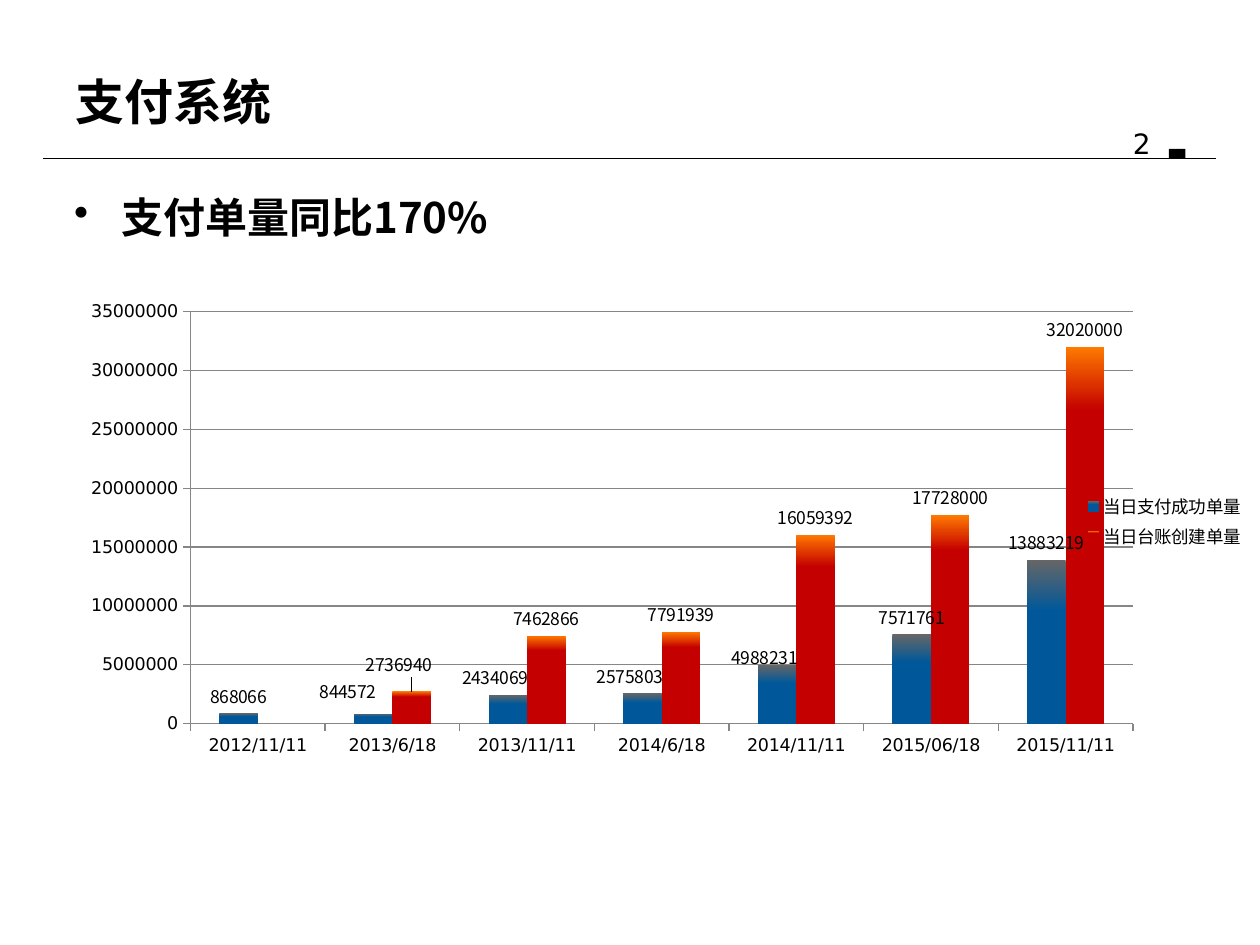
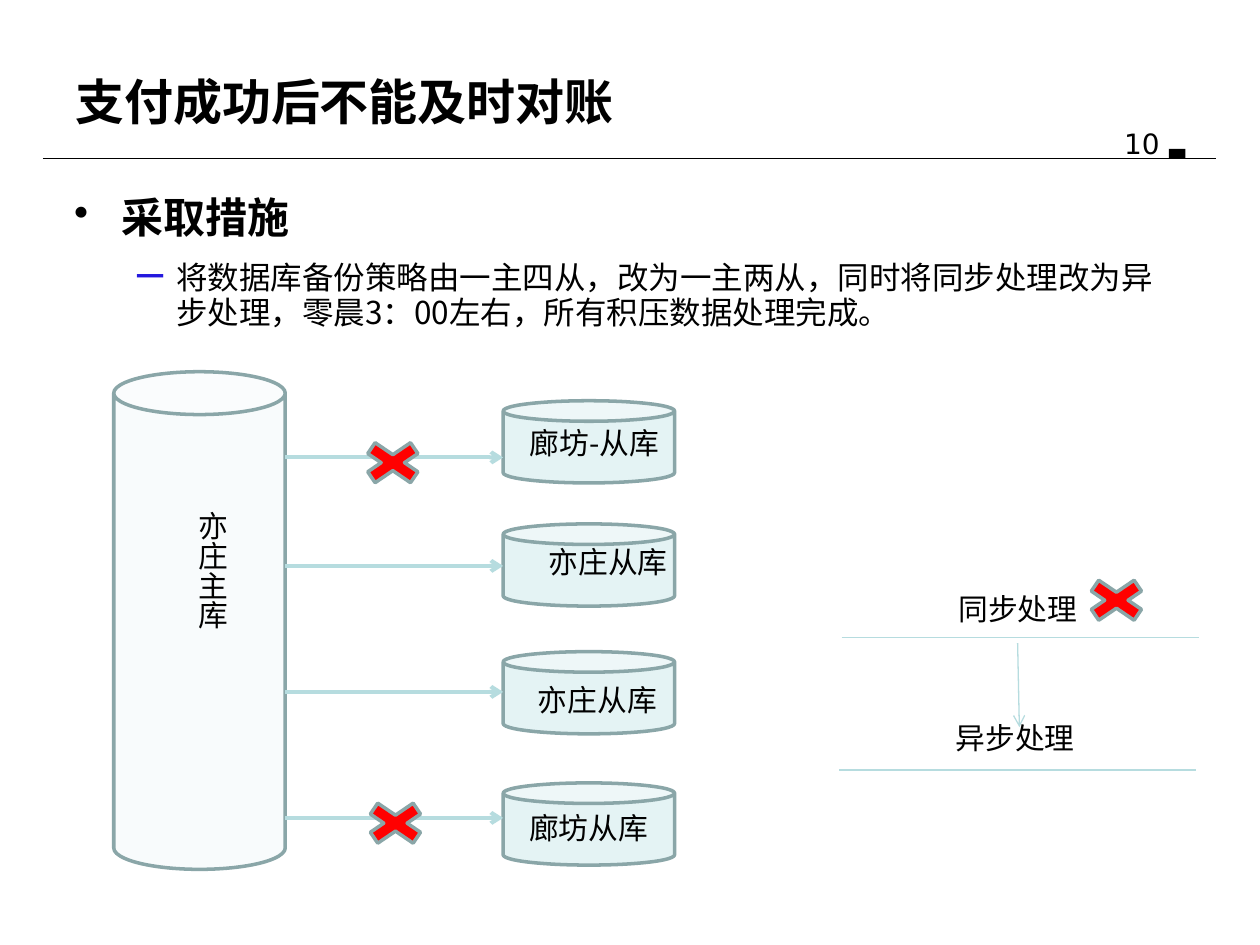
from lxml import etree
from pptx import Presentation
from pptx.chart.data import CategoryChartData
from pptx.dml.color import RGBColor
from pptx.enum.chart import XL_CHART_TYPE, XL_LABEL_POSITION, XL_LEGEND_POSITION, XL_TICK_MARK
from pptx.enum.shapes import MSO_CONNECTOR, MSO_SHAPE
from pptx.enum.text import MSO_ANCHOR, PP_ALIGN
from pptx.oxml import parse_xml
from pptx.oxml.ns import nsdecls, qn
from pptx.util import Pt

CAN = MSO_SHAPE.CAN
CROSS = MSO_SHAPE.MATH_MULTIPLY
RECTANGLE = MSO_SHAPE.RECTANGLE
STRAIGHT = MSO_CONNECTOR.STRAIGHT
CLUSTERED = XL_CHART_TYPE.COLUMN_CLUSTERED
OUTSIDE_END = XL_LABEL_POSITION.OUTSIDE_END
RIGHT = XL_LEGEND_POSITION.RIGHT
TICK_OUTSIDE = XL_TICK_MARK.OUTSIDE
TOP, MIDDLE = MSO_ANCHOR.TOP, MSO_ANCHOR.MIDDLE
LEFT, CENTER = PP_ALIGN.LEFT, PP_ALIGN.CENTER

CJK_FONT = "Noto Sans CJK SC"
LATIN_FONT = "DejaVu Sans"
BLACK = "000000"
GRID_GRAY = "868686"
OUTLINE = "8AA6A8"
ARROW = "B6DCDF"
MAIN_FILL = "F8FBFC"
REPLICA_FILL = "E4F3F4"
CROSS_RED = "FF0000"
DASH_BLUE = "2318DE"

CATEGORIES = ["2012/11/11", "2013/6/18", "2013/11/11", "2014/6/18",
              "2014/11/11", "2015/06/18", "2015/11/11"]
# Label shifts: point index -> fraction of the chart's width and height
SERIES = [
    {"name": "当日支付成功单量",
     "values": [868066, 844572, 2434069, 2575803, 4988231, 7571761, 13883219],
     "stops": [("666666", 0), ("00589A", 0.31)],
     "shifts": {1: (-0.02, -0.01), 2: (-0.01, 0), 3: (-0.01, 0), 4: (-0.01, 0.02)}},
    {"name": "当日台账创建单量",
     "values": [None, 2736940, 7462866, 7791939, 16059392, 17728000, 32020000],
     "stops": [("FF7A00", 0), ("C40000", 0.17)],
     "shifts": {1: (-0.01, -0.02)}},
]


def color(hex_string):
    return RGBColor.from_string(hex_string)


def style_font(paragraph, size, name=CJK_FONT, bold=False):
    font = paragraph.font
    font.size, font.name, font.bold = Pt(size), name, bold
    font.color.rgb = color(BLACK)
    east_asian = etree.SubElement(font._element, qn("a:ea"))
    east_asian.set("typeface", name)


def add_text(slide, box, text, size, name=CJK_FONT, bold=False, align=LEFT, anchor=TOP):
    shape = slide.shapes.add_textbox(*map(Pt, box))
    frame = shape.text_frame
    frame.word_wrap = True
    frame.vertical_anchor = anchor
    paragraph = frame.paragraphs[0]
    paragraph.text = text
    paragraph.alignment = align
    style_font(paragraph, size, name, bold)
    return shape


def add_preset(slide, preset, box, fill, line=None):
    shape = slide.shapes.add_shape(preset, *map(Pt, box))
    shape.shadow.inherit = False
    shape.fill.solid()
    shape.fill.fore_color.rgb = color(fill)
    if line:
        shape.line.color.rgb = color(line)
        shape.line.width = Pt(2)
    else:
        shape.line.fill.background()
    return shape


def add_line(slide, start, end, line_color, width, arrow=False):
    connector = slide.shapes.add_connector(STRAIGHT, *map(Pt, (*start, *end)))
    connector.line.color.rgb = color(line_color)
    connector.line.width = Pt(width)
    if arrow:
        line = connector.line._get_or_add_ln()
        etree.SubElement(line, qn("a:tailEnd")).set("type", "arrow")
    etree.SubElement(connector._element.spPr, qn("a:effectLst"))


def add_cross(slide, left, top):
    add_preset(slide, CROSS, (left, top, 47, 32), CROSS_RED, OUTLINE)


def add_bullet(paragraph, character, hex_string, margin, hang, percent=100):
    properties = paragraph._p.get_or_add_pPr()
    properties.set("marL", str(Pt(margin)))
    properties.set("indent", str(Pt(-hang)))
    bullet_color = etree.SubElement(properties, qn("a:buClr"))
    etree.SubElement(bullet_color, qn("a:srgbClr")).set("val", hex_string)
    etree.SubElement(properties, qn("a:buSzPct")).set("val", str(percent * 1000))
    etree.SubElement(properties, qn("a:buChar")).set("char", character)


def add_header(slide, title, number):
    """Title, slide number with its marker, and the rule below."""
    add_text(slide, (626, 69, 53, 27), number, 16, LATIN_FONT, align=CENTER)
    add_preset(slide, RECTANGLE, (668, 85, 9.4, 5.8), BLACK)
    add_line(slide, (24.5, 90.7), (695, 90.7), BLACK, 0.75)
    add_text(slide, (36, 27.4, 648, 61), title, 28, bold=True, anchor=MIDDLE)


def add_body(slide, heading, detail=None):
    frame = slide.shapes.add_textbox(Pt(35.3), Pt(108), Pt(648), Pt(385)).text_frame
    frame.word_wrap = True
    paragraph = frame.paragraphs[0]
    paragraph.text = heading
    paragraph.line_spacing = 0.94
    paragraph.space_after = Pt(6)
    add_bullet(paragraph, "•", BLACK, 27, 27)
    style_font(paragraph, 24, bold=True)
    if detail:
        paragraph = frame.add_paragraph()
        paragraph.text = detail
        paragraph.line_spacing = 0.94
        paragraph.space_before = Pt(4.5)
        add_bullet(paragraph, "–", DASH_BLUE, 58.3, 22.3, 150)
        style_font(paragraph, 18)


def manual_layout(x, y, extra=""):
    return parse_xml(
        f'<c:layout {nsdecls("c")}><c:manualLayout>{extra}'
        f'<c:x val="{x}"/><c:y val="{y}"/></c:manualLayout></c:layout>')


def set_plot_area(chart, x, y, width, height):
    plot_area = chart._chartSpace.chart.plotArea
    for old_layout in plot_area.findall(qn("c:layout")):
        plot_area.remove(old_layout)
    layout = manual_layout(
        x, y, '<c:layoutTarget val="inner"/><c:xMode val="edge"/><c:yMode val="edge"/>')
    for tag, value in (("c:w", width), ("c:h", height)):
        etree.SubElement(layout[0], qn(tag)).set("val", str(value))
    plot_area.insert(0, layout)


def style_axis(axis):
    axis.major_tick_mark = TICK_OUTSIDE
    axis.format.line.color.rgb = color(GRID_GRAY)
    axis.format.line.width = Pt(0.75)


def style_series(series, spec_row):
    series.invert_if_negative = False
    fill = series.format.fill
    fill.gradient()
    fill.gradient_angle = 270
    for stop, (hex_string, position) in zip(fill.gradient_stops, spec_row["stops"]):
        stop.color.rgb = color(hex_string)
        stop.position = position
    labels = series.data_labels
    labels.show_value = True
    labels.position = OUTSIDE_END
    labels.font.name, labels.font.size = CJK_FONT, Pt(10)
    for index in spec_row["shifts"]:
        label = series.points[index].data_label
        label.font.name, label.font.size = CJK_FONT, Pt(10)
        label.position = OUTSIDE_END
    moved_labels = series._element.iter(qn("c:dLbl"))
    for label, shift in zip(moved_labels, spec_row["shifts"].values()):
        label.insert(1, manual_layout(*shift))


def add_order_chart(slide, box):
    data = CategoryChartData()
    data.categories = CATEGORIES
    for row in SERIES:
        data.add_series(row["name"], row["values"])
    chart = slide.shapes.add_chart(CLUSTERED, *map(Pt, box), data).chart
    chart.has_title = False
    chart.font.name, chart.font.size = LATIN_FONT, Pt(10)
    chart.font.color.rgb = color(BLACK)
    chart.has_legend = True
    chart.legend.position = RIGHT
    chart.legend.include_in_layout = False
    chart.legend.font.name, chart.legend.font.size = CJK_FONT, Pt(10)
    set_plot_area(chart, 0.154, 0.059, 0.748, 0.866)
    style_axis(chart.category_axis)
    style_axis(chart.value_axis)
    chart.value_axis.maximum_scale = 35000000
    chart.value_axis.major_unit = 5000000
    grid_line = chart.value_axis.major_gridlines.format.line
    grid_line.color.rgb = color(GRID_GRAY)
    grid_line.width = Pt(0.75)
    plot = chart.plots[0]
    plot.gap_width = 150
    plot.vary_by_categories = False
    for series, row in zip(plot.series, SERIES):
        style_series(series, row)


def add_replication(slide, left, top):
    """Main database with arrows to its replicas; dropped links are crossed."""
    can_width, replica_left = 98, left + 222.5
    add_preset(slide, CAN, (left, top, can_width, 284.4), MAIN_FILL, OUTLINE)
    main_label = add_text(slide, (left + 36, top + 72.7, 34, 150), "亦庄主库", 17)
    main_label.text_frame._txBody.bodyPr.set("vert", "eaVert")
    # Name, tops of can, label and arrow, and left of label within the can
    replicas = [("廊坊-从库", 16.6, 26.5, 49, 8), ("亦庄从库", 87, 95, 111, 18.8),
                ("亦庄从库", 160, 173.5, 183, 12.7), ("廊坊从库", 235, 247, 255, 7.7)]
    for name, can_top, label_top, arrow_top, label_left in replicas:
        add_preset(slide, CAN, (replica_left, top + can_top, can_width, 47),
                   REPLICA_FILL, OUTLINE)
        add_text(slide, (replica_left + label_left, top + label_top, 110, 32), name, 17)
        add_line(slide, (left + can_width, top + arrow_top),
                 (replica_left, top + arrow_top), ARROW, 2.25, arrow=True)
    add_cross(slide, left + 136, top + 36)
    add_cross(slide, left + 137.5, top + 242)


def add_processing_change(slide, left, top):
    """Synchronous processing, crossed out, leading to asynchronous."""
    steps = [("同步处理", 1.5, 7, 37.5), ("异步处理", 0, 80.5, 113)]
    for name, shift, label_top, line_top in steps:
        add_line(slide, (left + shift, top + line_top),
                 (left + shift + 204, top + line_top), ARROW, 0.75)
        add_text(slide, (left + shift + 59.5, top + label_top, 114, 32), name, 17)
    add_line(slide, (left + 102, top + 40.5), (left + 103, top + 88.5), ARROW, 0.75, arrow=True)
    add_cross(slide, left + 135, top)


def main():
    presentation = Presentation()
    presentation.slide_width, presentation.slide_height = Pt(720), Pt(540)
    blank = presentation.slide_layouts[6]

    slide = presentation.slides.add_slide(blank)
    add_header(slide, "支付系统", "2")
    add_body(slide, "支付单量同比170%")
    add_order_chart(slide, (-2, 162, 720, 272))

    slide = presentation.slides.add_slide(blank)
    add_header(slide, "支付成功后不能及时对账", "10")
    add_body(slide, "采取措施",
             "将数据库备份策略由一主四从，改为一主两从，同时将同步处理改为异步处理，"
             "零晨3：00左右，所有积压数据处理完成。")
    add_replication(slide, 65, 212.4)
    add_processing_change(slide, 479.5, 327)

    presentation.save("out.pptx")


if __name__ == "__main__":
    main()
